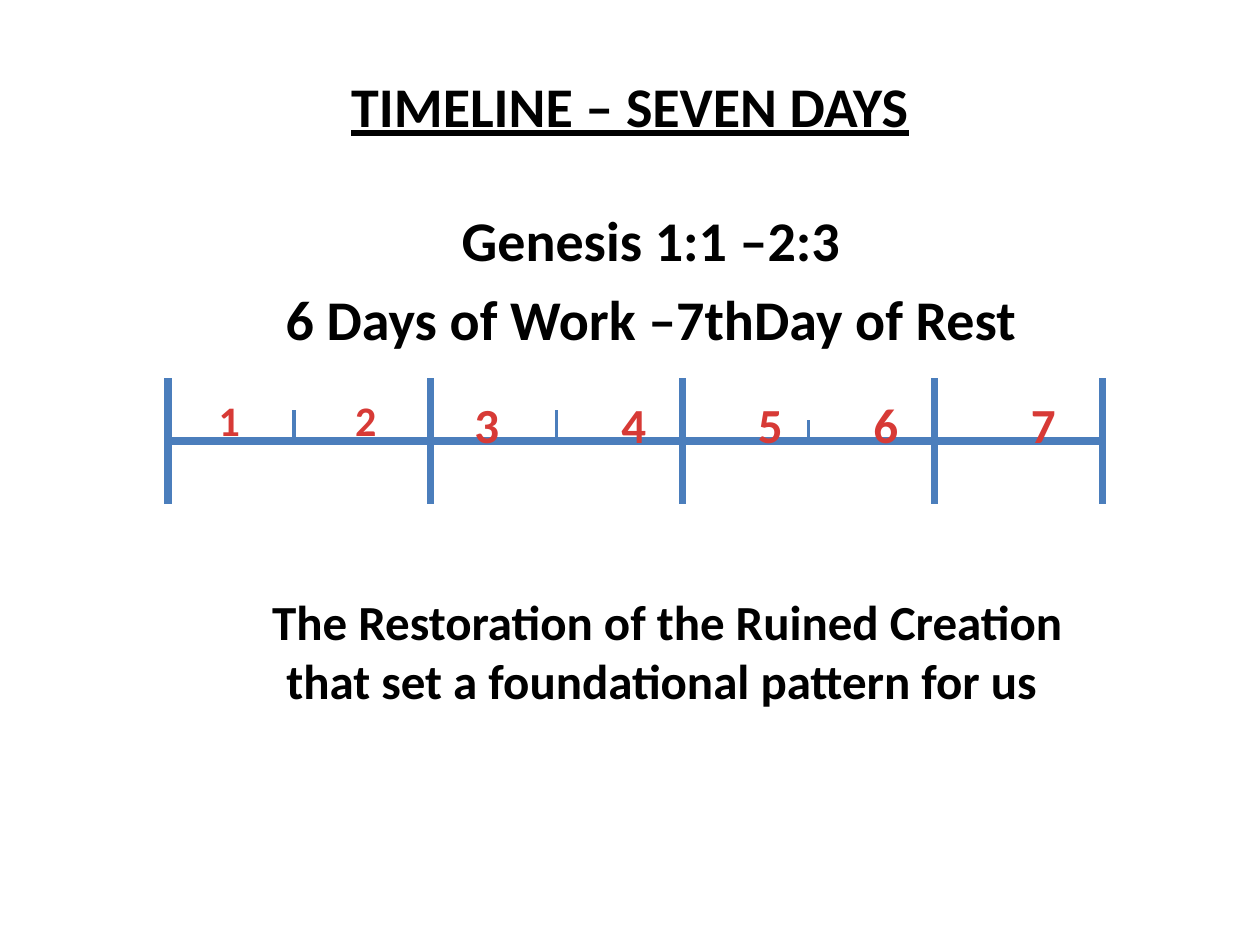
from lxml import etree
from pptx import Presentation
from pptx.dml.color import RGBColor
from pptx.enum.shapes import MSO_CONNECTOR
from pptx.enum.text import MSO_ANCHOR, PP_ALIGN
from pptx.oxml.ns import qn
from pptx.util import Pt

PX = 7620  # 120 px to the inch
LINE = MSO_CONNECTOR.STRAIGHT
TOP, MIDDLE = MSO_ANCHOR.TOP, MSO_ANCHOR.MIDDLE
LEFT, CENTER = PP_ALIGN.LEFT, PP_ALIGN.CENTER


def color(code):
    return RGBColor.from_string(code)


class Deck:
    font = "Calibri"
    ink, blue, red = "000000", "4B7EBC", "D73A36"

    def __init__(self, wide, high):
        self.prs = Presentation()
        self.prs.slide_width, self.prs.slide_height = wide * PX, high * PX
        self.slide = self.prs.slides.add_slide(self.prs.slide_layouts[6])

    def text(self, box, paras, size, tint=ink, align=CENTER, anchor=TOP,
             line=False, gap=0, inset=6):
        """Each paragraph is a list of (words, bold) runs."""
        shape = self.slide.shapes.add_textbox(*(n * PX for n in box))
        frame = shape.text_frame
        frame.word_wrap = True
        frame.vertical_anchor = anchor
        frame.margin_top = inset * PX
        for i, runs in enumerate(paras):
            para = frame.add_paragraph() if i else frame.paragraphs[0]
            para.alignment = align
            para.space_before = Pt(gap)
            for words, bold in runs:
                run = para.add_run()
                run.text = words
                font = run.font
                font.name, font.size, font.bold = self.font, Pt(size), bold
                font.underline = line
                font.color.rgb = color(tint)

    def rule(self, x1, y1, x2, y2, width):
        shape = self.slide.shapes.add_connector(
            LINE, *(n * PX for n in (x1, y1, x2, y2)))
        shape.line.color.rgb = color(self.blue)
        shape.line.width = Pt(width)
        etree.SubElement(shape._element.spPr, qn("a:effectLst"))


def main():
    deck = Deck(1200, 900)

    # Headings
    deck.text((90, 60, 1020, 80), [[("TIMELINE – SEVEN DAYS", True)]], 32,
              anchor=MIDDLE, line=True)
    deck.text((160, 190, 920, 340),
              [[("Genesis 1:1 –2:3", True)],
               [("6 Days of Work –7thDay of Rest", True)]], 32, gap=6.4)

    # Timeline: tall bars, axis, short ticks
    bars = (160, 410, 650, 890, 1050)
    axis = 420
    for x in bars:
        deck.rule(x, axis - 60, x, axis + 60, 4.5)
    deck.rule(bars[0], axis, bars[-1], axis, 4.5)
    for x, rise in ((280, 30), (530, 30), (770, 20)):
        deck.rule(x, axis, x, axis - rise, 2.25)

    # Caption, set one line down in its box
    deck.text((200, 500, 860, 181),
              [[(" ", False),
                ("The Restoration of the Ruined Creation "
                 "that set a foundational pattern for us", True)]],
              28, inset=63)

    # Day numbers
    days = ((200, 20, 24), (330, 20, 24), (440, 40, 28), (580, 44, 28),
            (710, 48, 28), (820, 48, 28), (970, 48, 28))
    for day, (x, wide, size) in enumerate(days, 1):
        high = 60 if size == 24 else 68
        deck.text((x, 370, wide, high), [[(str(day), True)]], size,
                  tint=deck.red, align=LEFT)

    deck.prs.save("out.pptx")


if __name__ == "__main__":
    main()
